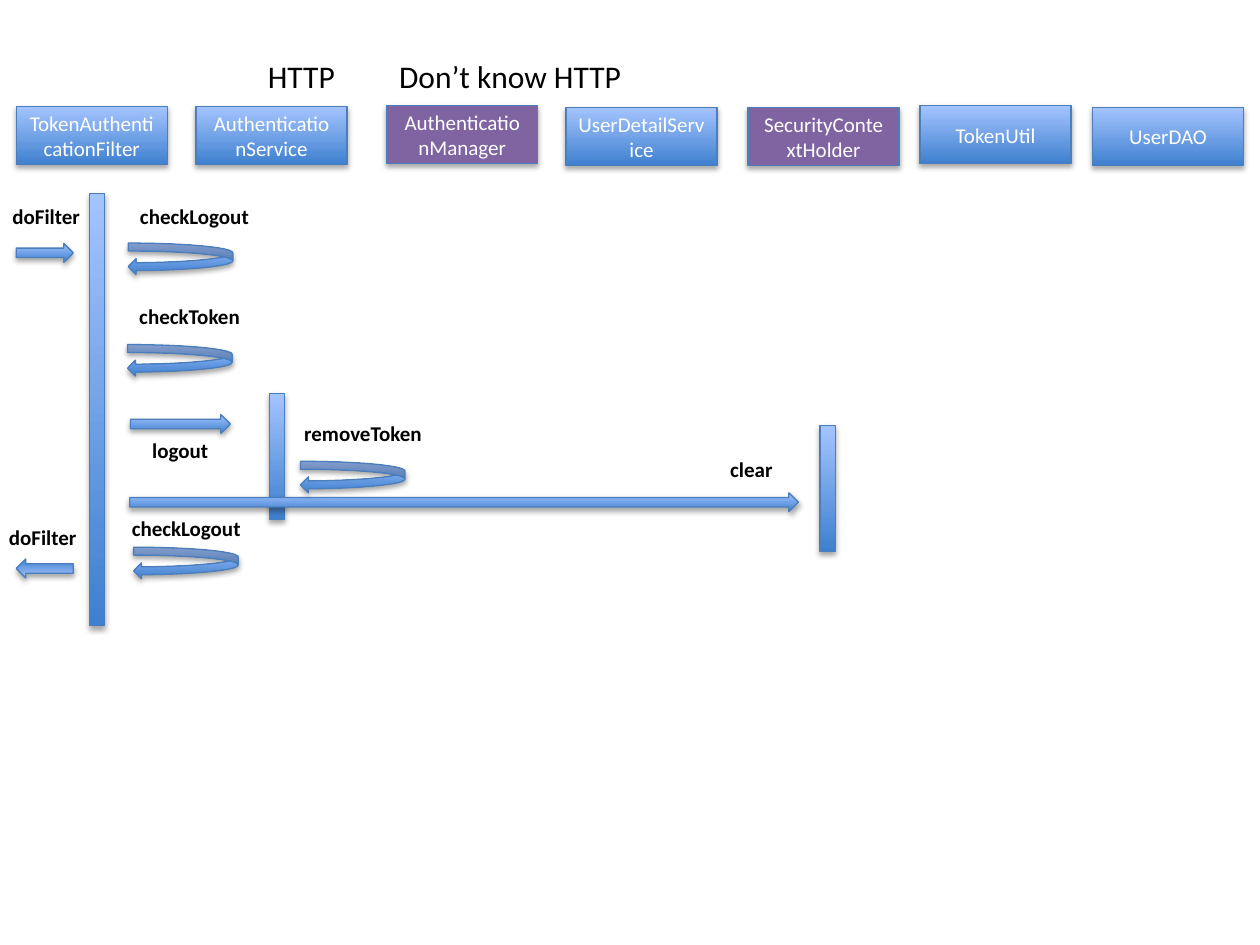
from lxml.etree import SubElement
from pptx import Presentation
from pptx.dml.color import RGBColor
from pptx.enum.shapes import MSO_SHAPE
from pptx.enum.text import MSO_ANCHOR, MSO_AUTO_SIZE, PP_ALIGN
from pptx.oxml.ns import qn
from pptx.util import Pt

COLORS = {"dark": "3F80CE", "light": "A4C4FF", "line": "4B7EBC", "purple": "8064A2",
          "white": "FFFFFF", "black": "000000"}
FONT = "Calibri"


def rgb(name):
    return RGBColor.from_string(COLORS[name])


class SequenceDiagram:
    HEADER = (86.4, 33.2)
    LOOP = (59.8, 18)
    BAR_WIDTH = 8.7
    ARROW_HEIGHT = 10.8

    def __init__(self, s):
        self.s = s

    def shape(self, kind, x, y, w, h, fill=None):
        """Add a shadowed shape, filled with the blue gradient unless a colour is named."""
        sp = self.s.shapes.add_shape(kind, Pt(x), Pt(y), Pt(w), Pt(h))
        if fill:
            sp.fill.solid()
            sp.fill.fore_color.rgb = rgb(fill)
        else:
            sp.fill.gradient()
            sp.fill.gradient_angle = 90
            for stop, name in zip(sp.fill.gradient_stops, ("dark", "light")):
                stop.color.rgb = rgb(name)
        sp.line.color.rgb = rgb("line")
        sp.line.width = Pt(0.75)
        self.add_shadow(sp)
        return sp

    def add_shadow(self, sp):
        sp.shadow.inherit = False
        effects = sp.element.spPr.find(qn("a:effectLst"))
        shadow = SubElement(effects, qn("a:outerShdw"), blurRad=str(Pt(3.1)),
                            dist=str(Pt(1.8)), dir="5400000", rotWithShape="0")
        color = SubElement(shadow, qn("a:srgbClr"), val=COLORS["black"])
        SubElement(color, qn("a:alpha"), val="35000")

    def run(self, p, text, size, color, bold=False):
        r = p.add_run()
        r.text = text
        r.font.name = FONT
        r.font.size = Pt(size)
        r.font.bold = bold
        r.font.color.rgb = rgb(color)

    def header(self, text, x, y, fill=None):
        tf = self.shape(MSO_SHAPE.RECTANGLE, x, y, *self.HEADER, fill).text_frame
        tf.word_wrap = True
        tf.vertical_anchor = MSO_ANCHOR.MIDDLE
        p = tf.paragraphs[0]
        p.alignment = PP_ALIGN.CENTER
        self.run(p, text, 12, "white")

    def bar(self, x, y, h):
        self.shape(MSO_SHAPE.RECTANGLE, x, y, self.BAR_WIDTH, h)

    def arrow(self, x, y, w, rotation=0):
        sp = self.shape(MSO_SHAPE.RIGHT_ARROW, x, y, w, self.ARROW_HEIGHT)
        sp.rotation = rotation

    def loop(self, x, y):
        self.shape(MSO_SHAPE.CURVED_LEFT_ARROW, x, y, *self.LOOP)

    def label(self, text, x, y, w, size=12, bold=True, wrap=False):
        h = size * 1.2 + 7.2
        tf = self.s.shapes.add_textbox(Pt(x), Pt(y), Pt(w), Pt(h)).text_frame
        tf.word_wrap = wrap
        tf.auto_size = MSO_AUTO_SIZE.SHAPE_TO_FIT_TEXT
        self.run(tf.paragraphs[0], text, size, "black", bold)


def main():
    prs = Presentation()
    prs.slide_width, prs.slide_height = Pt(720), Pt(540)
    d = SequenceDiagram(prs.slides.add_slide(prs.slide_layouts[6]))

    for text, x, y, fill in (
        ("TokenAuthenticationFilter", 9.3, 61, None),
        ("AuthenticationService", 112, 61, None),
        ("AuthenticationManager", 221, 60.4, "purple"),
        ("UserDetailService", 323.4, 61.4, None),
        ("SecurityContextHolder", 427.4, 61.4, "purple"),
        ("TokenUtil", 525.7, 60.4, None),
        ("UserDAO", 624.3, 61.4, None),
    ):
        d.header(text, x, y, fill)

    for x, y, h in ((51.2, 110.4, 247), (153.8, 224.8, 72), (468.6, 243.2, 72)):
        d.bar(x, y, h)

    for x, y, w, rotation in (
        (9.3, 139.1, 32.6, 0),
        (74.6, 236.9, 57, 0),
        (74.2, 281.6, 382, 0),
        (9.3, 319.4, 32.6, 180),
    ):
        d.arrow(x, y, w, rotation)

    for x, y in ((73.3, 138.9), (72.9, 196.9), (171.7, 263.6), (76.4, 312.7)):
        d.loop(x, y)

    for text, x, y, w in (
        ("checkLogout", 72.9, 112.5, 77.8),
        ("checkToken", 72.5, 170.2, 74.2),
        ("logout", 79.9, 246.5, 46.8),
        ("removeToken", 166.8, 237, 84.2),
        ("clear", 410.2, 257.3, 38.9),
        ("checkLogout", 68.2, 291, 77.8),
    ):
        d.label(text, x, y, w)
    for x, y in ((0, 112.5), (-2, 296.2)):
        d.label("doFilter", x, y, 60, wrap=True)
    for text, x, w in (("HTTP", 146, 56), ("Don’t know HTTP", 221, 147.6)):
        d.label(text, x, 29, w, size=18, bold=False, wrap=True)

    prs.save("out.pptx")


if __name__ == "__main__":
    main()
